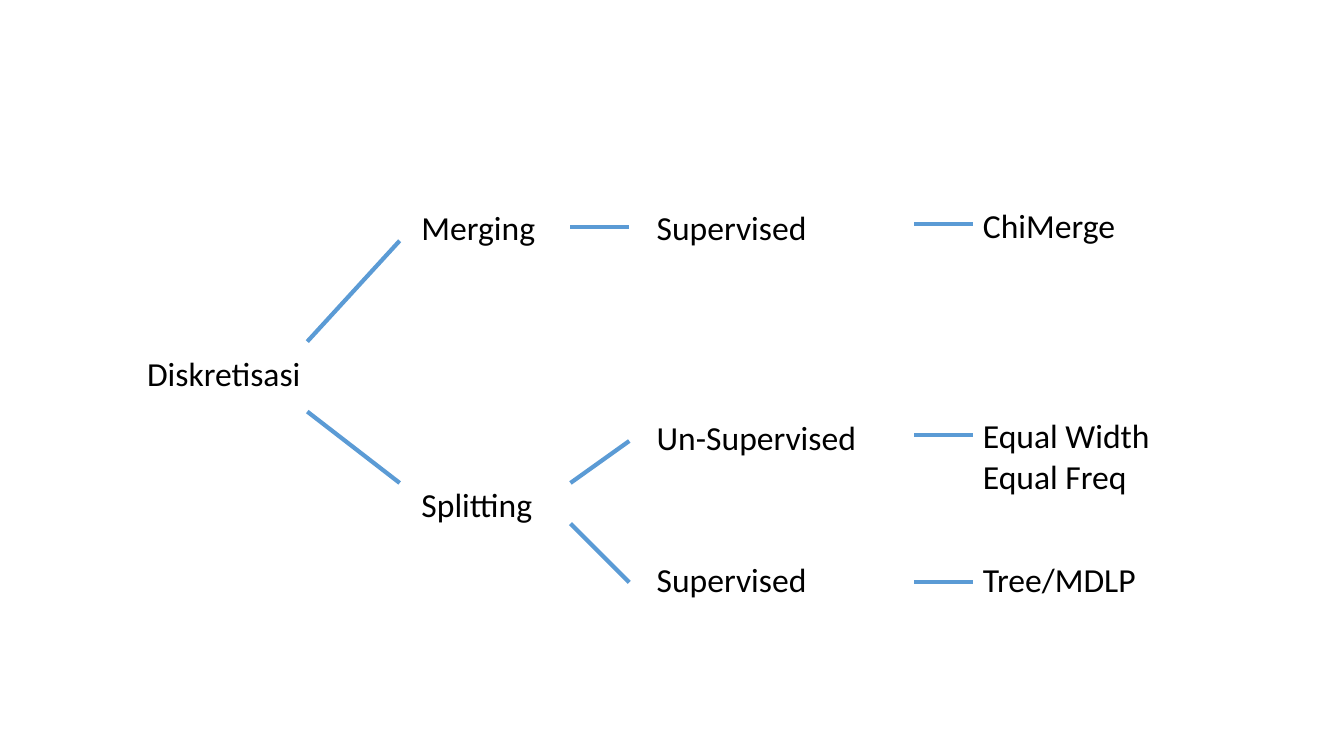
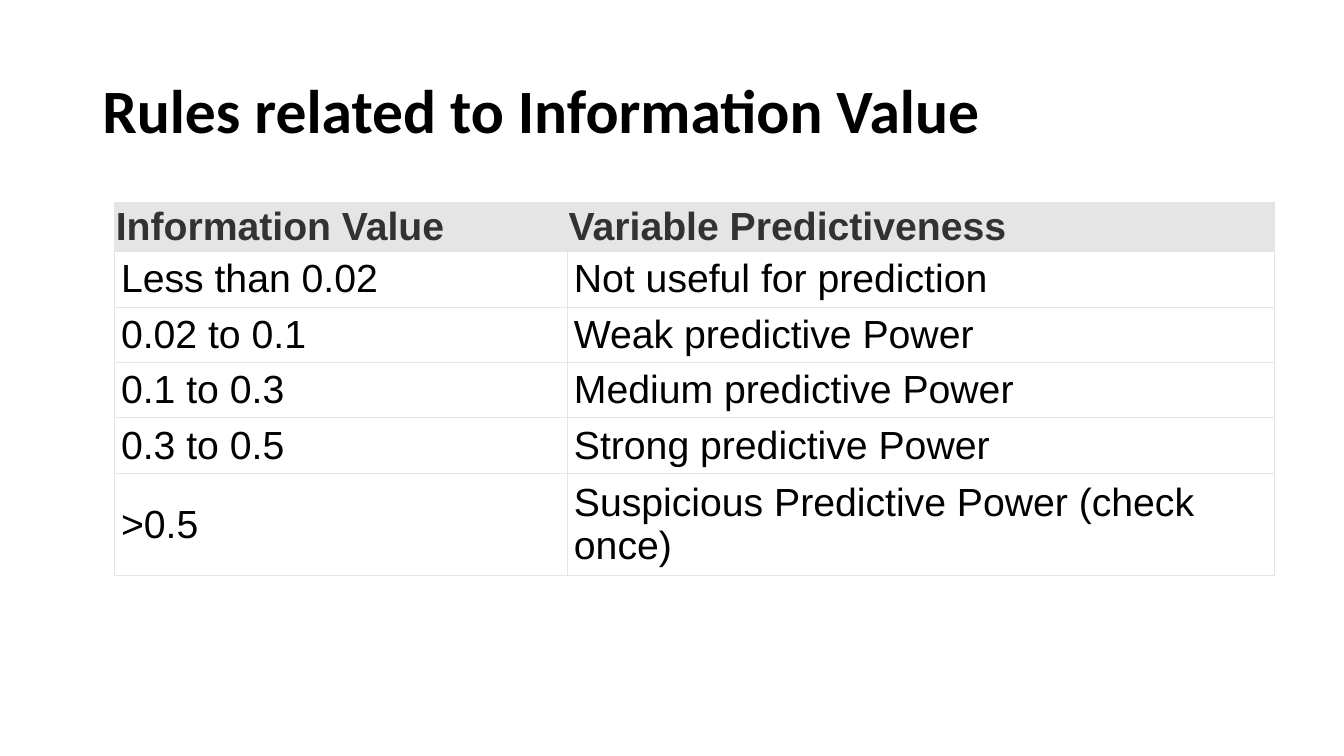
from pptx import Presentation
from pptx.dml.color import RGBColor
from pptx.enum.shapes import MSO_CONNECTOR
from pptx.enum.text import MSO_ANCHOR, MSO_AUTO_SIZE
from pptx.oxml.ns import qn
from pptx.util import Pt
from lxml import etree

STRAIGHT = MSO_CONNECTOR.STRAIGHT
MIDDLE = MSO_ANCHOR.MIDDLE
GROW = MSO_AUTO_SIZE.SHAPE_TO_FIT_TEXT

COLORS = {
    "text": "000000",
    "branch": "5B9BD5",
    "header_text": "323232",
    "grey": "E5E5E5",
    "white": "FFFFFF",
}


def rgb(name):
    return RGBColor.from_string(COLORS[name])


def write(tf, lines, size, font="Calibri", color="text", bold=False):
    """Fill a text frame with one paragraph per line."""
    tf.word_wrap = True
    for i, line in enumerate(lines):
        p = tf.add_paragraph() if i else tf.paragraphs[0]
        r = p.add_run()
        r.text = line
        r.font.size = Pt(size)
        r.font.name = font
        r.font.bold = bold
        r.font.color.rgb = rgb(color)


prs = Presentation()
prs.slide_width, prs.slide_height = Pt(960), Pt(540)
blank = prs.slide_layouts[6]

# Slide 1: discretisation tree
s = prs.slides.add_slide(blank)
ROOT_X, METHOD_X, KIND_X, ALGORITHM_X = 98, 294, 462, 695
NODE_W, LINE_H = 175, 29
nodes = [
    (ROOT_X, 248.5, NODE_W, ["Diskretisasi"]),
    (METHOD_X, 144, NODE_W, ["Merging"]),
    (METHOD_X, 342, NODE_W, ["Splitting"]),
    (KIND_X, 144, NODE_W, ["Supervised"]),
    (KIND_X, 294, 207, ["Un-Supervised"]),
    (KIND_X, 396, NODE_W, ["Supervised"]),
    (ALGORITHM_X, 143, NODE_W, ["ChiMerge"]),
    (ALGORITHM_X, 293, NODE_W, ["Equal Width", "Equal Freq"]),
    (ALGORITHM_X, 396, 225, ["Tree/MDLP"]),
]
for x, y, w, lines in nodes:
    tf = s.shapes.add_textbox(Pt(x), Pt(y), Pt(w), Pt(7 + LINE_H * len(lines))).text_frame
    tf.auto_size = GROW
    write(tf, lines, 24)

# Each gap between columns: left x, right x, (start y, end y) of its branches
branches = [
    (219.5, 285.5, [(244, 172), (294, 345)]),
    (407.5, 449.5, [(162, 162), (345, 315), (374, 416)]),
    (653, 695, [(160, 160), (310.5, 310.5), (416, 416)]),
]
for x1, x2, heights in branches:
    for y1, y2 in heights:
        line = s.shapes.add_connector(STRAIGHT, Pt(x1), Pt(y1), Pt(x2), Pt(y2))
        line.line.color.rgb = rgb("branch")
        line.line.width = Pt(3)
        etree.SubElement(line._element.spPr, qn("a:effectLst"))

# Slide 2: rules table
s = prs.slides.add_slide(blank)
tf = s.shapes.add_textbox(Pt(66), Pt(29), Pt(828), Pt(104)).text_frame
tf.vertical_anchor = MIDDLE
write(tf, ["Rules related to Information Value"], 44, bold=True)
tf.paragraphs[0].line_spacing = 0.9

rows = [
    ("Information Value", "Variable Predictiveness"),
    ("Less than 0.02", "Not useful for prediction"),
    ("0.02 to 0.1", "Weak predictive Power"),
    ("0.1 to 0.3", "Medium predictive Power"),
    ("0.3 to 0.5", "Strong predictive Power"),
    (">0.5", "Suspicious Predictive Power (check once)"),
]
row_heights = [33, 37, 37, 37, 37, 68]
col_widths = [323.5, 504.5]
table = s.shapes.add_table(len(rows), len(col_widths), Pt(82), Pt(144.5),
                           Pt(sum(col_widths)), Pt(sum(row_heights))).table
for col, w in zip(table.columns, col_widths):
    col.width = Pt(w)
for row, h in zip(table.rows, row_heights):
    row.height = Pt(h)

for i, values in enumerate(rows):
    header = i == 0
    for j, value in enumerate(values):
        cell = table.cell(i, j)
        cell.vertical_anchor = MIDDLE
        cell.margin_left = cell.margin_right = Pt(0.75 if header else 4.5)
        cell.margin_top = cell.margin_bottom = Pt(0.75 if header else 3)
        write(cell.text_frame, [value], 28, "Arial",
              "header_text" if header else "text", header)
        tc_pr = cell._tc.get_or_add_tcPr()
        for side in ("lnL", "lnR", "lnT", "lnB"):
            ln = etree.SubElement(tc_pr, qn("a:" + side), w=str(Pt(0.6)))
            fill = etree.SubElement(ln, qn("a:solidFill"))
            etree.SubElement(fill, qn("a:srgbClr"), val=COLORS["grey"])
        cell.fill.solid()
        cell.fill.fore_color.rgb = rgb("grey" if header else "white")

prs.save("out.pptx")
